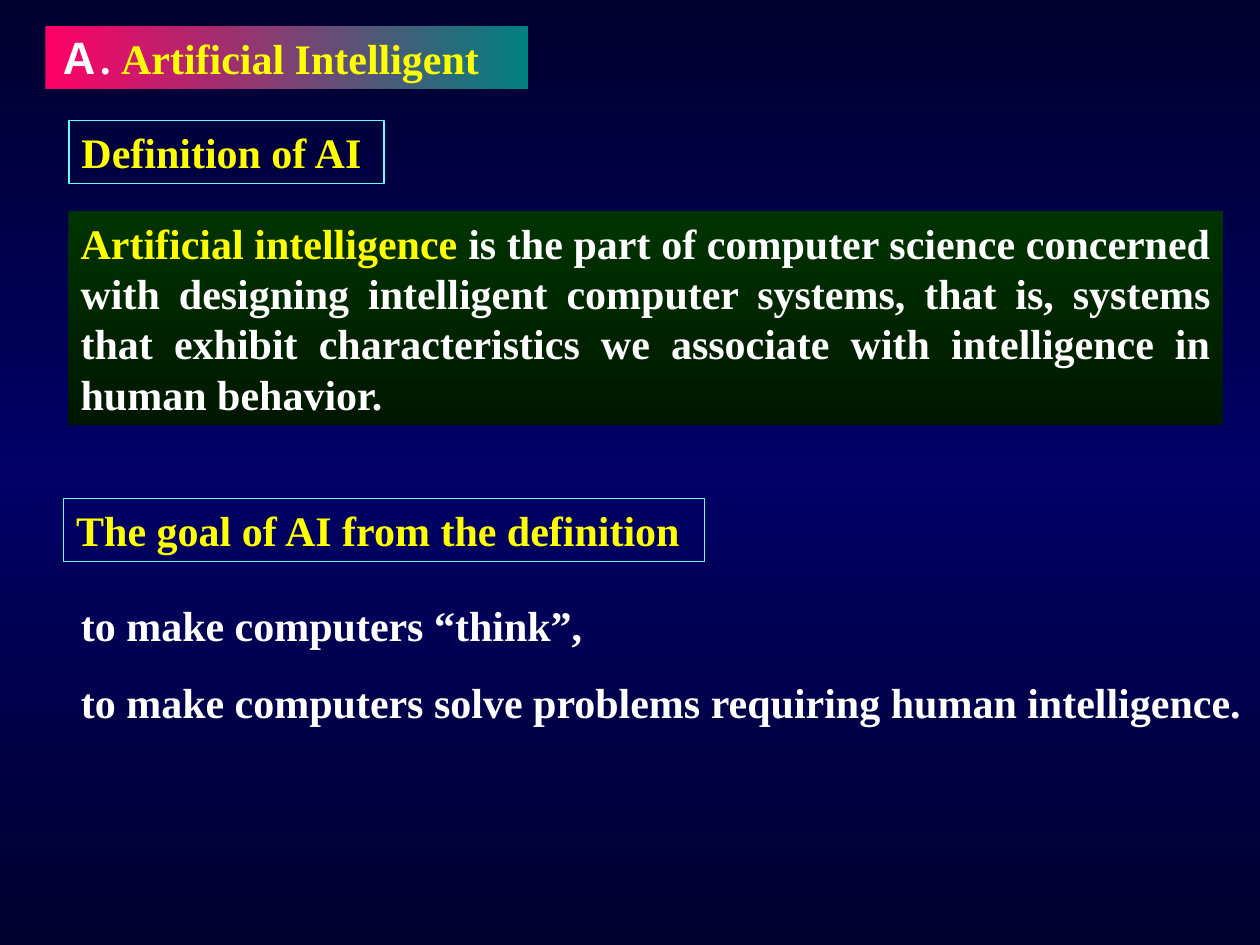
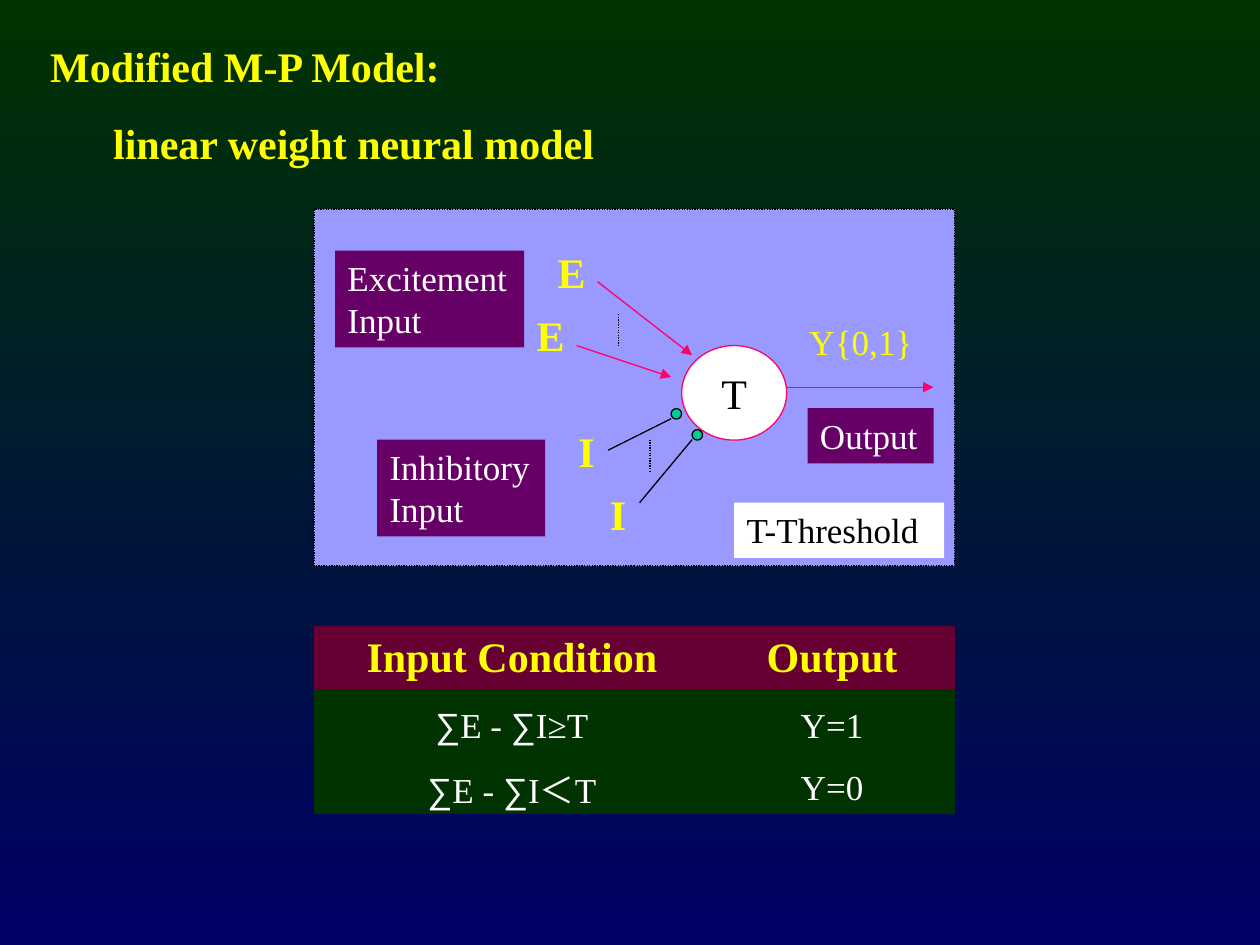
"""Build two slides: the definition of AI and the modified M-P neuron model."""
from copy import deepcopy

from lxml import etree
from pptx import Presentation
from pptx.dml.color import RGBColor
from pptx.enum import dml, shapes, text
from pptx.oxml.ns import qn
from pptx.util import Pt

SERIF = "Times New Roman"
WHITE = RGBColor(0xFF, 0xFF, 0xFF)
BLACK = RGBColor(0x00, 0x00, 0x00)
YELLOW = RGBColor(0xFF, 0xFF, 0x00)
CYAN = RGBColor(0x66, 0xFF, 0xFF)
PINK = RGBColor(0xFF, 0x00, 0x66)
TEAL = RGBColor(0x00, 0x80, 0x80)
NIGHT = RGBColor(0x00, 0x00, 0x2F)
NAVY = RGBColor(0x00, 0x00, 0x66)
GREEN = RGBColor(0x00, 0x33, 0x00)
DARK_GREEN = RGBColor(0x00, 0x18, 0x00)
LILAC = RGBColor(0x99, 0x99, 0xFF)
MINT = RGBColor(0x00, 0xCC, 0x99)
PURPLE = RGBColor(0x66, 0x00, 0x66)
WINE = RGBColor(0x66, 0x00, 0x33)


def paint_gradient(fill, owner, colours, angle):
    fill.gradient()
    fill.gradient_angle = angle
    stop_list = next(owner.iter(qn("a:gsLst")))
    while len(stop_list) < len(colours):
        stop_list.insert(1, deepcopy(stop_list[0]))
    for i, (stop, colour) in enumerate(zip(fill.gradient_stops, colours)):
        stop.position = i / (len(colours) - 1)
        stop.color.rgb = colour


def write(shape, lines, colour, size=24, bold=True, align=text.PP_ALIGN.LEFT):
    frame = shape.text_frame
    frame.word_wrap = True
    frame.auto_size = text.MSO_AUTO_SIZE.NONE
    frame.vertical_anchor = text.MSO_ANCHOR.TOP
    frame.text = "\n".join(lines)
    for i, paragraph in enumerate(frame.paragraphs):
        if shape.is_placeholder:
            props = paragraph._p.get_or_add_pPr()
            props.set("marL", "0")
            props.set("indent", "0")
            etree.SubElement(props, qn("a:buNone"))
        paragraph.alignment = align
        paragraph.space_before = Pt(15 if i else 0)
        paragraph.font.name = SERIF
        paragraph.font.size = Pt(size)
        paragraph.font.bold = bold
        paragraph.font.color.rgb = colour
    return frame.paragraphs


deck = Presentation()
deck.slide_width, deck.slide_height = Pt(720), Pt(540)
RECT, OVAL = shapes.MSO_SHAPE.RECTANGLE, shapes.MSO_SHAPE.OVAL

ai = deck.slides.add_slide(deck.slide_layouts[1])
paint_gradient(ai.background.fill, ai.element, [NIGHT, NAVY, NIGHT], 270)

heading = ai.shapes.title
heading.left, heading.top, heading.width, heading.height = Pt(26), Pt(15), Pt(276), Pt(36)
paint_gradient(heading.fill, heading.element, [PINK, TEAL], 0)
section = write(heading, ["Ａ."], WHITE)[0]
tabs = etree.Element(qn("a:tabLst"))
etree.SubElement(tabs, qn("a:tab"), pos=str(Pt(46)), algn="l")
section._p.pPr.find(qn("a:buNone")).addnext(tabs)
subject = section.add_run()
subject.text = "\tArtificial Intelligent"
subject.font.color.rgb = YELLOW

definition = ai.shapes.add_shape(RECT, Pt(39), Pt(120.5), Pt(660), Pt(122.5))
definition.shadow.inherit = False
definition.line.fill.background()
paint_gradient(definition.fill, definition._element, [GREEN, DARK_GREEN], 270)
sentence = write(definition, ["Artificial intelligence"], YELLOW, align=text.PP_ALIGN.JUSTIFY)[0]
meaning = sentence.add_run()
meaning.text = (" is the part of computer science concerned with designing intelligent "
                "computer systems, that is, systems that exhibit characteristics we "
                "associate with intelligence in human behavior.")
meaning.font.color.rgb = WHITE

for caption, left, top, width in [
    ("Definition of AI", 39.5, 69, 180),
    ("The goal of AI from the definition", 36.5, 285, 366),
]:
    topic = ai.shapes.add_shape(RECT, Pt(left), Pt(top), Pt(width), Pt(36))
    topic.shadow.inherit = False
    topic.fill.background()
    topic.line.color.rgb = CYAN
    topic.line.width = Pt(0.75)
    write(topic, [caption], YELLOW)

goals = ai.placeholders[1]
goals.left, goals.top, goals.width, goals.height = Pt(39), Pt(339), Pt(681), Pt(80)
write(goals, ["to make computers “think”,",
              "to make computers solve problems requiring human intelligence."], WHITE)

model = deck.slides.add_slide(deck.slide_layouts[5])
paint_gradient(model.background.fill, model.element, [GREEN, NAVY], 270)

heading = model.shapes.title
heading.left, heading.top, heading.width, heading.height = Pt(21.5), Pt(19.5), Pt(369), Pt(80)
subtitle = write(heading, ["Modified M-P Model:", "linear weight neural model"], YELLOW)[1]
subtitle._p.pPr.set("marL", str(Pt(36)))

diagram = model.shapes.add_group_shape().shapes
for kind, left, top, width, height, fill, outline in [
    (RECT, 179.5, 119.5, 366, 204, LILAC, BLACK),
    (OVAL, 383.5, 233.5, 6, 6, MINT, BLACK),
    (OVAL, 395.5, 245.5, 6, 6, MINT, BLACK),
    (OVAL, 389.5, 197.5, 60, 54, WHITE, PINK),
]:
    part = diagram.add_shape(kind, Pt(left), Pt(top), Pt(width), Pt(height))
    part.shadow.inherit = False
    part.fill.solid()
    part.fill.fore_color.rgb = fill
    part.line.color.rgb = outline
    part.line.width = Pt(0.75)
    if kind == RECT:
        part.line.dash_style = dml.MSO_LINE.ROUND_DOT
neuron = part
write(neuron, ["T"], BLACK, bold=False, align=text.PP_ALIGN.CENTER)
neuron.text_frame.word_wrap = False
neuron.text_frame.vertical_anchor = text.MSO_ANCHOR.MIDDLE

for x1, y1, x2, y2, colour, arrow, dotted in [
    (341.5, 161, 395.5, 203, PINK, True, False),
    (329.5, 197.5, 383.5, 215.5, PINK, True, False),
    (449.5, 221.25, 533.5, 221.25, PINK, True, False),
    (383.5, 239.25, 347.5, 257.25, BLACK, False, False),
    (395.5, 251.25, 365.5, 287.25, BLACK, False, False),
    (353.5, 179.5, 353.5, 197.5, BLACK, False, True),
    (371.5, 251.25, 371.5, 269.25, BLACK, False, True),
]:
    link = diagram.add_connector(shapes.MSO_CONNECTOR.STRAIGHT, Pt(x1), Pt(y1), Pt(x2), Pt(y2))
    link.line.color.rgb = colour
    link.line.width = Pt(0.75)
    if dotted:
        link.line.dash_style = dml.MSO_LINE.ROUND_DOT
    if arrow:
        etree.SubElement(link.line._get_or_add_ln(), qn("a:tailEnd"), type="triangle")
    etree.SubElement(link._element.spPr, qn("a:effectLst"))

for signal, left, top, width in [
    ("E", 311.5, 137.5, 24), ("E", 299.5, 173.5, 24), ("I", 323.5, 239.5, 30), ("I", 341.5, 275.5, 30),
]:
    write(diagram.add_textbox(Pt(left), Pt(top), Pt(width), Pt(36)), [signal], YELLOW)

output_value = diagram.add_textbox(Pt(455.5), Pt(179.5), Pt(78), Pt(31.5))
write(output_value, ["Y{0,1}"], YELLOW, 20, False)

for caption, left, top, width, height, fill, colour in [
    ("Excitement Input", 191.5, 143.25, 108, 55.25, PURPLE, WHITE),
    ("Inhibitory Input", 215.5, 251.25, 96, 55.25, PURPLE, WHITE),
    ("Output", 461.5, 233.25, 72, 31.5, PURPLE, WHITE),
    ("T-Threshold", 419.5, 287.25, 120, 31.5, WHITE, BLACK),
]:
    label = diagram.add_shape(RECT, Pt(left), Pt(top), Pt(width), Pt(height))
    label.shadow.inherit = False
    label.fill.solid()
    label.fill.fore_color.rgb = fill
    label.line.fill.background()
    write(label, [caption], colour, 20, False)

rules = [
    (36, WINE, YELLOW, 24, [["Input Condition"], ["Output"]]),
    (42, GREEN, WHITE, 20, [["∑", "E - ", "∑", "I≥T"], ["Y=1"]]),
    (28, GREEN, WHITE, 20, [["∑", "E - ", "∑", "I＜T"], ["Y=0"]]),
]
conditions = model.shapes.add_table(3, 2, Pt(179.5), Pt(358), Pt(366), Pt(106)).table
conditions.horz_banding = False
conditions._tbl.tblPr.find(qn("a:tableStyleId")).text = "{2D5ABB26-0587-4C30-8999-92F81FD0307C}"
conditions.columns[0].width, conditions.columns[1].width = Pt(226), Pt(140)
for row, (height, fill, colour, size, entries) in zip(conditions.rows, rules):
    row.height = Pt(height)
    for cell, pieces in zip(row.cells, entries):
        cell.fill.solid()
        cell.fill.fore_color.rgb = fill
        cell.margin_top = cell.margin_bottom = 0
        cell.vertical_anchor = text.MSO_ANCHOR.MIDDLE
        paragraph = cell.text_frame.paragraphs[0]
        paragraph.alignment = text.PP_ALIGN.CENTER
        for piece in pieces:
            run = paragraph.add_run()
            run.text = piece
            run.font.name = "Arial" if piece == "∑" else SERIF
        paragraph.font.size = Pt(size)
        paragraph.font.bold = size == 24
        paragraph.font.color.rgb = colour

deck.save("out.pptx")
